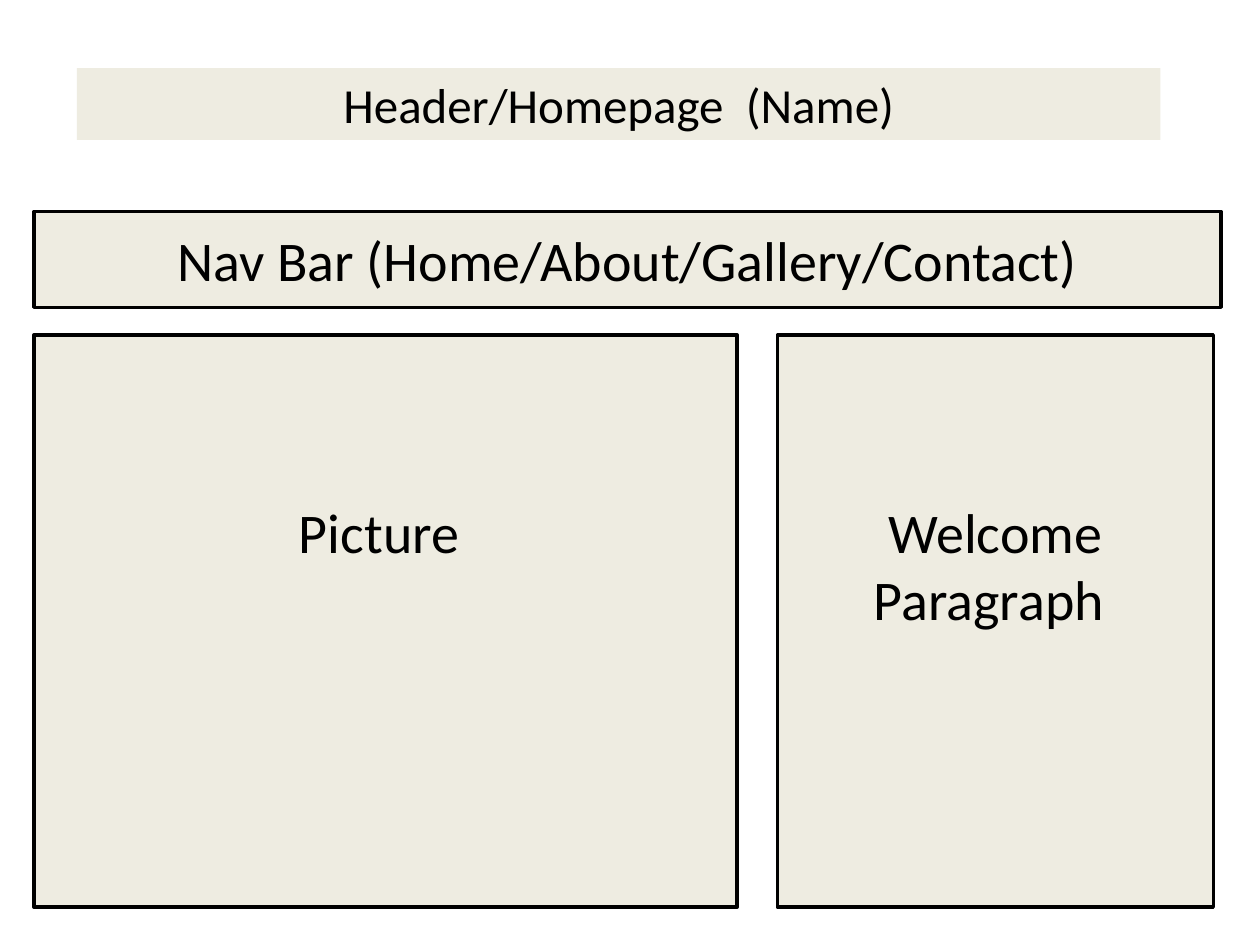
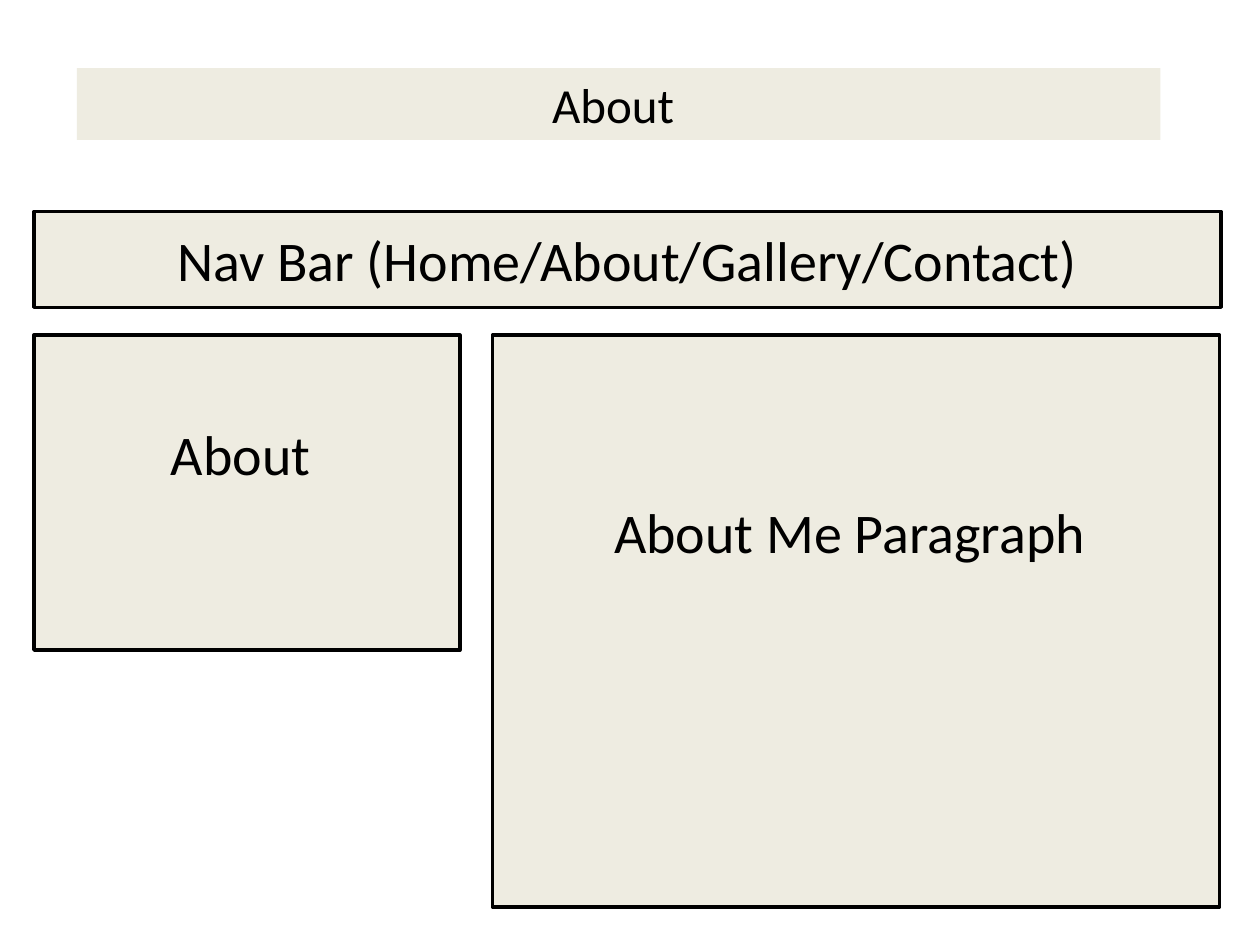
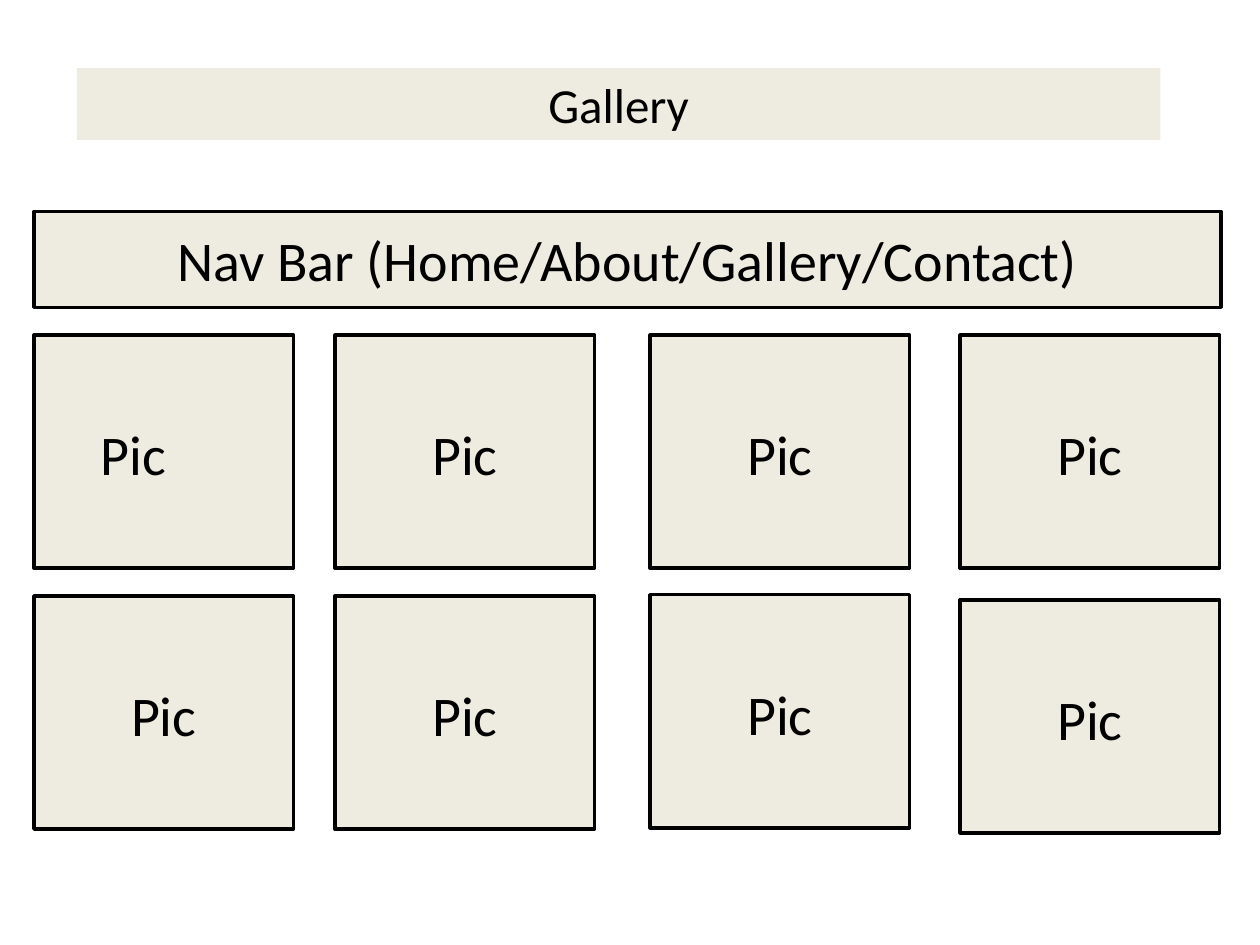
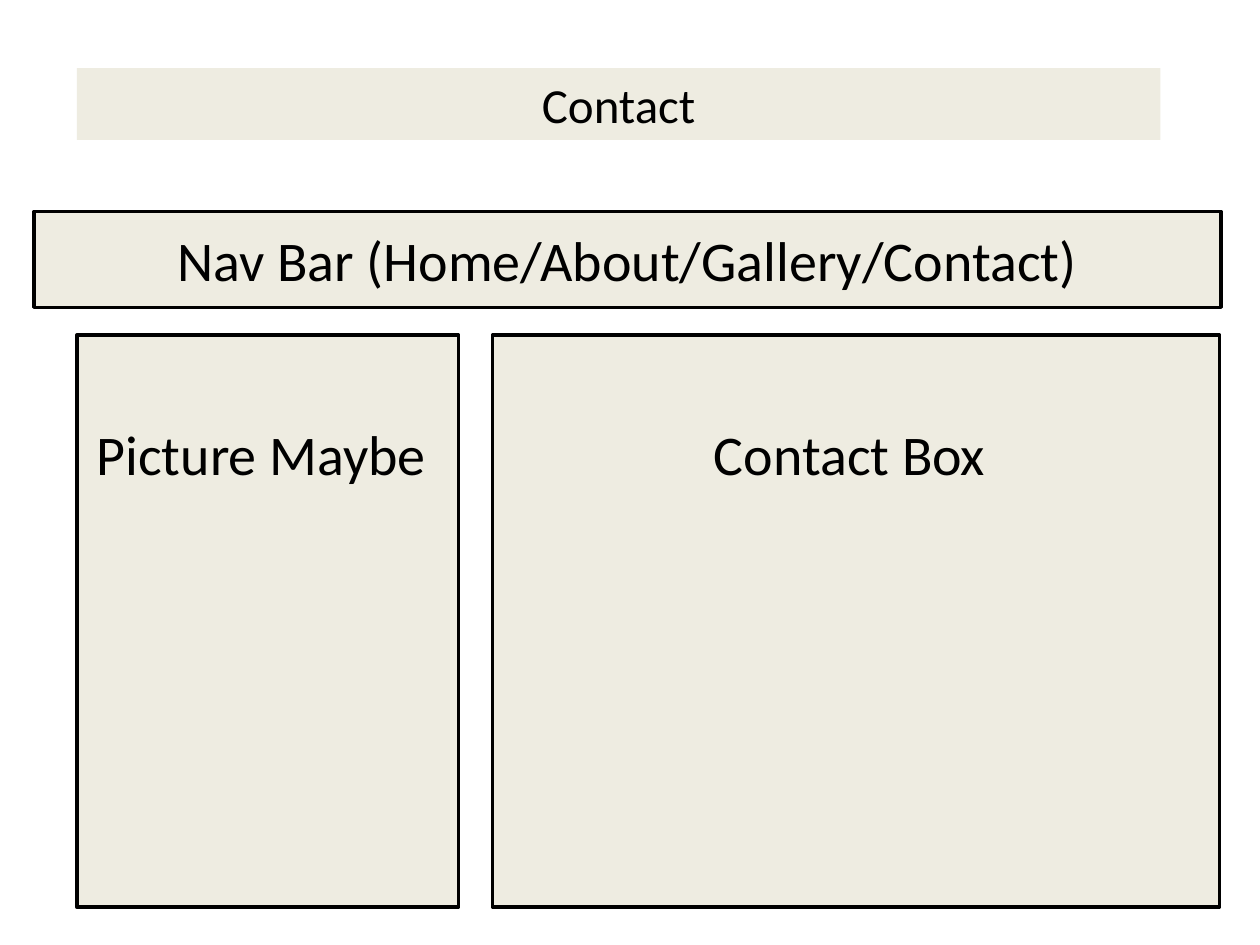
"""Build four website wireframe slides: home, about, gallery and contact."""
from itertools import product

from pptx import Presentation
from pptx.dml.color import RGBColor
from pptx.enum.shapes import MSO_SHAPE as Shape
from pptx.enum.text import MSO_ANCHOR as Anchor, PP_ALIGN as Align
from pptx.util import Inches, Pt

CREAM = RGBColor(0xEE, 0xEC, 0xE1)
BLACK = RGBColor(0, 0, 0)
FONT = "Calibri"
BODY_SIZE, HEADER_SIZE = 32, 28
MARGIN, LINE_STEP = 0.05, 0.62

LEFT, INDENT, SPLIT = 0.27, 0.61, 3.91
TOP, TALL, SHORT = 2.66, 4.54, 2.5
WIDE = 5.77
HEADER_PLACE = (INDENT, 0.54, 8.6, 0.57)
NAV_PLACE = (LEFT, 1.68, 9.42, 0.76)
NAV_TEXT = "Nav Bar (Home/About/Gallery/Contact)"

TILE_WIDTH, TILE_HEIGHT = 2.06, 1.85
TILE_LEFTS = (LEFT, 2.66, 5.16, 7.62)
TILE_ROWS = ((TOP,) * 4, (4.73, 4.73, 4.72, 4.76))
TILES = [
    ("Pic" if row or column else "Pic\t",
     (TILE_LEFTS[column], TILE_ROWS[row][column], TILE_WIDTH, TILE_HEIGHT), 1)
    for row, column in product(range(len(TILE_ROWS)), range(len(TILE_LEFTS)))
]

PAGES = [
    ("Header/Homepage  (Name)", [
        ("Picture ", (LEFT, TOP, 5.58, TALL), 2),
        ("Welcome Paragraph ", (6.17, TOP, 3.46, TALL), 2),
    ]),
    ("About ", [
        ("About ", (LEFT, TOP, 3.38, SHORT), 1),
        ("About Me Paragraph ", (SPLIT, TOP, WIDE, TALL), 2),
    ]),
    ("Gallery", TILES),
    ("Contact", [
        ("Contact Box ", (SPLIT, TOP, WIDE, TALL), 1),
        ("Picture Maybe ", (INDENT, TOP, 3.03, TALL), 1),
    ]),
]


def add_box(page, text, place, size=BODY_SIZE, outlined=True, anchor=Anchor.TOP, lines_down=0):
    box = page.shapes.add_shape(Shape.RECTANGLE, *map(Inches, place))
    box.shadow.inherit = False
    box.fill.solid()
    box.fill.fore_color.rgb = CREAM
    if outlined:
        box.line.color.rgb = BLACK
        box.line.width = Pt(2)
    else:
        box.line.fill.background()
    frame = box.text_frame
    frame.word_wrap = True
    frame.vertical_anchor = anchor
    frame.margin_top = Inches(MARGIN + lines_down * LINE_STEP)
    para = frame.paragraphs[0]
    para.alignment = Align.CENTER
    span = para.add_run()
    span.text = text
    span.font.name = FONT
    span.font.size = Pt(size)
    span.font.color.rgb = BLACK


deck = Presentation()
deck.slide_width, deck.slide_height = Inches(10), Inches(7.5)
blank = deck.slide_layouts[6]
for header, boxes in PAGES:
    page = deck.slides.add_slide(blank)
    add_box(page, NAV_TEXT, NAV_PLACE, anchor=Anchor.MIDDLE)
    add_box(page, header, HEADER_PLACE, size=HEADER_SIZE, outlined=False)
    for text, place, lines_down in boxes:
        add_box(page, text, place, lines_down=lines_down)
deck.save("out.pptx")
